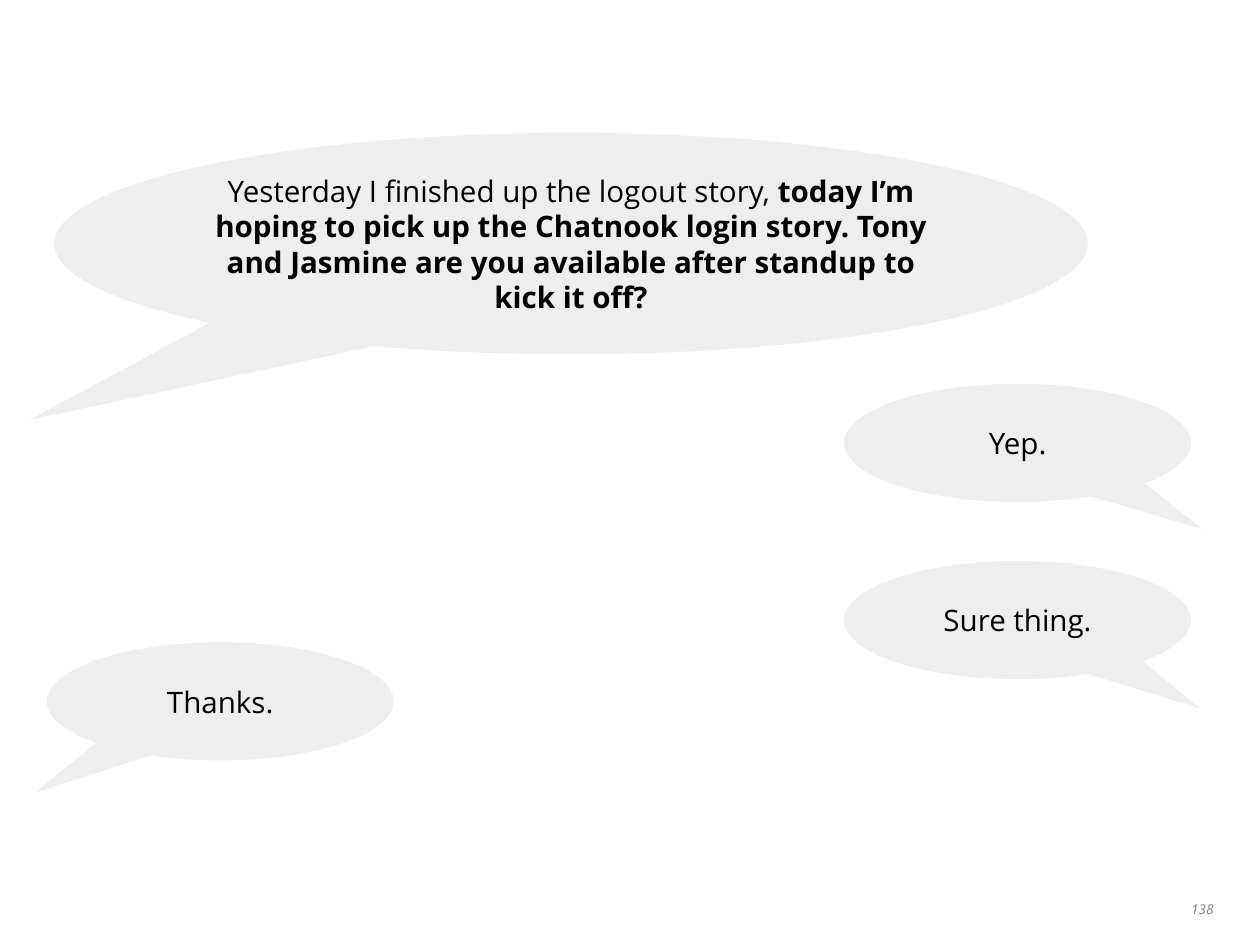
from pptx import Presentation
from pptx import util as u
from pptx.dml.color import RGBColor
from pptx.enum import shapes, text

COLORS = {"bubble": "EEEEEE", "speech": "000000", "number": "808184"}
FONT = "Open Sans"
WIDTH, HEIGHT = u.Inches(14.22), u.Inches(10.67)
COLUMNS, ROWS = 128, 96
REPLY_SIZE = (35.25, 12)

# Box in columns and rows, tail tip as shares of the bubble, (words, bold) runs
BUBBLES = [
    ((5.5, 13.5, 105, 22.5), (-0.524, 0.797), [
        ("Yesterday I finished up the logout story, ", False),
        ("today I’m hoping to pick up the Chatnook login story. Tony and "
         "Jasmine are you available after standup to kick it off?", True)]),
    ((85.75, 39, *REPLY_SIZE), (0.534, 0.732), [("Yep.", False)]),
    ((85.75, 57, *REPLY_SIZE), (0.525, 0.746), [("Sure thing.", False)]),
    ((4.75, 65.25, *REPLY_SIZE), (-0.534, 0.774), [("Thanks.", False)]),
]


def place(box):
    """Turn columns and rows into slide lengths."""
    left, top, width, height = box
    return (int(left * WIDTH / COLUMNS), int(top * HEIGHT / ROWS),
            int(width * WIDTH / COLUMNS), int(height * HEIGHT / ROWS))


def set_values(target, values):
    for name, value in values.items():
        setattr(target, name, value)


def add_run(paragraph, words, color, **style):
    run = paragraph.add_run()
    run.text = words
    set_values(run.font, {"name": FONT, **style})
    run.font.color.rgb = RGBColor.from_string(COLORS[color])


def add_bubble(slide, box, tail, runs):
    shape = slide.shapes.add_shape(
        shapes.MSO_SHAPE.OVAL_CALLOUT, *place(box))
    shape.shadow.inherit = False
    shape.fill.solid()
    shape.fill.fore_color.rgb = RGBColor.from_string(COLORS["bubble"])
    shape.line.fill.background()
    for index, share in enumerate(tail):
        shape.adjustments[index] = share
    frame = shape.text_frame
    set_values(frame, {
        "word_wrap": True, "vertical_anchor": text.MSO_ANCHOR.MIDDLE,
        "margin_left": 0, "margin_right": 0,
        "margin_top": 0, "margin_bottom": 0})
    paragraph = frame.paragraphs[0]
    paragraph.alignment = text.PP_ALIGN.CENTER
    for words, bold in runs:
        add_run(paragraph, words, "speech", size=u.Pt(24), bold=bold)


def add_slide_number(slide, box, number):
    frame = slide.shapes.add_textbox(*place(box)).text_frame
    set_values(frame, {
        "word_wrap": False, "margin_left": 0, "margin_right": 0})
    paragraph = frame.paragraphs[0]
    paragraph.alignment = text.PP_ALIGN.RIGHT
    add_run(paragraph, number, "number", size=u.Pt(11), italic=True)


def main():
    presentation = Presentation()
    set_values(presentation, {"slide_width": WIDTH, "slide_height": HEIGHT})
    slide = presentation.slides.add_slide(presentation.slide_layouts[6])

    # Page number in the lower right corner
    add_slide_number(slide, (120.6, 91.1, 2.7, 2.9), "138")

    # Conversation
    for box, tail, runs in BUBBLES:
        add_bubble(slide, box, tail, runs)

    presentation.save("out.pptx")


if __name__ == "__main__":
    main()
